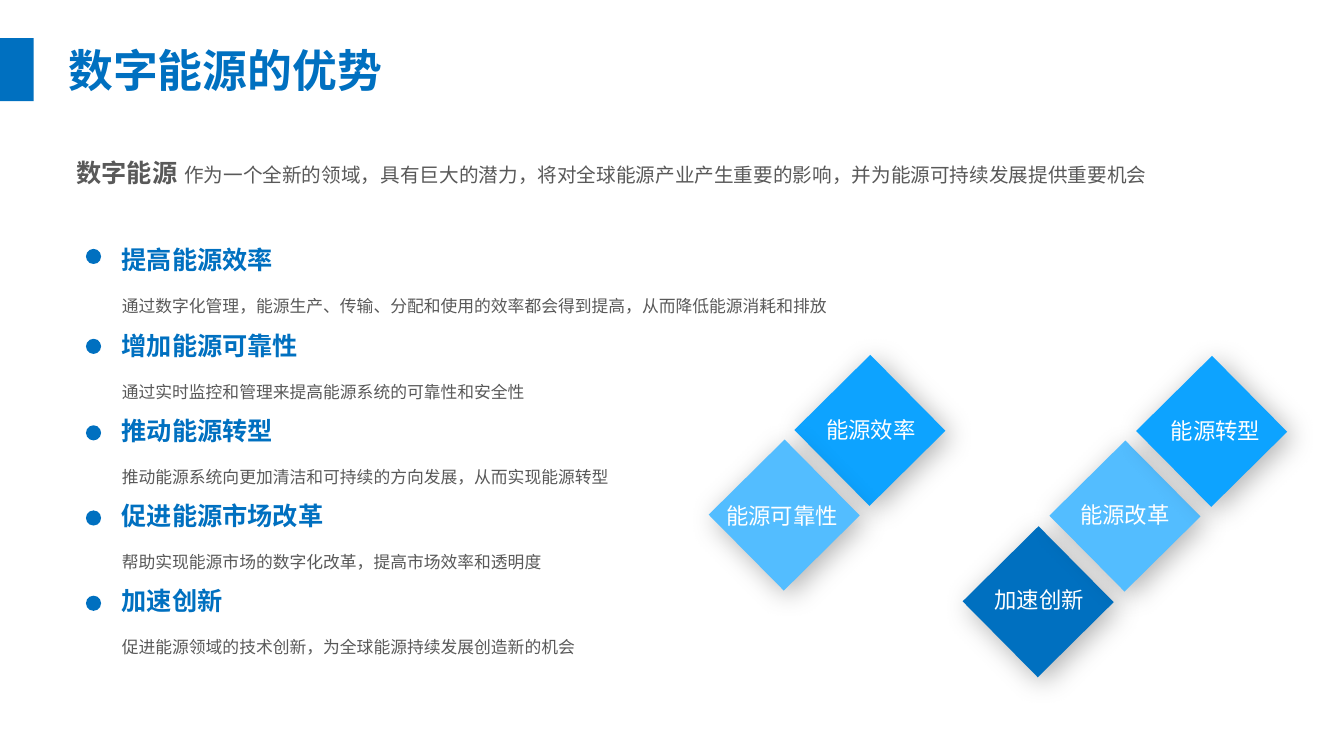
from lxml import etree
from pptx import Presentation
from pptx.dml.color import RGBColor
from pptx.enum import shapes, text
from pptx.oxml import ns
from pptx.util import Pt

BLUE = RGBColor(0x00, 0x70, 0xC0)
BRIGHT = RGBColor(0x0D, 0xA3, 0xFF)
PALE = RGBColor(0x53, 0xBD, 0xFF)
GRAY = RGBColor(0x59, 0x59, 0x59)
WHITE = RGBColor(0xFF, 0xFF, 0xFF)
FONT = "Arial"

DIAMOND_SIDE = 76.3
DIAMOND_ANGLE = 45.3
LABEL_WIDTH = 122.4
ROW_PITCH = 60.85
FIRST_HEADING_TOP = 171.2
FIRST_DETAIL_TOP = 200.7

DIAMONDS = [
    (583.2, 269.3, BRIGHT),
    (703.4, 391.7, BLUE),
    (522, 329.8, PALE),
    (765.4, 330.5, PALE),
    (827.3, 270, BRIGHT),
]
DIAMOND_LABELS = [
    ("能源可靠性", 497.5, 355),
    ("能源效率", 560.9, 293.8),
    ("能源改革", 742.3, 354.2),
    ("加速创新", 681.1, 415.4),
    ("能源转型", 807.1, 294.5),
]
ADVANTAGES = [
    ("提高能源效率", "通过数字化管理，能源生产、传输、分配和使用的效率都会得到提高，从而降低能源消耗和排放", 177.8),
    ("增加能源可靠性", "通过实时监控和管理来提高能源系统的可靠性和安全性", 242),
    ("推动能源转型", "推动能源系统向更加清洁和可持续的方向发展，从而实现能源转型", 303.8),
    ("促进能源市场改革", "帮助实现能源市场的数字化改革，提高市场效率和透明度", 364.6),
    ("加速创新", "促进能源领域的技术创新，为全球能源持续发展创造新的机会", 425.5),
]
INTRO = [
    ("数字能源 ", 18, True),
    ("作为一个全新的领域，具有巨大的潜力，将对全球能源产业产生重要的影响，并为能源可持续发展提供重要机会", 14, False),
]


def style_run(run, size, color, bold=False):
    run.font.name = FONT
    run.font.size = Pt(size)
    run.font.bold = bold
    run.font.color.rgb = color
    east_asian = etree.Element(ns.qn("a:ea"), typeface=FONT)
    run.font._element.find(ns.qn("a:latin")).addnext(east_asian)


def fill_text(box, parts, color, align, spacing=None):
    frame = box.text_frame
    frame.word_wrap = True
    frame.auto_size = text.MSO_AUTO_SIZE.SHAPE_TO_FIT_TEXT
    frame.vertical_anchor = text.MSO_ANCHOR.TOP
    paragraph = frame.paragraphs[0]
    paragraph.alignment = align
    if spacing:
        paragraph.line_spacing = spacing
    for words, size, bold in parts:
        run = paragraph.add_run()
        run.text = words
        style_run(run, size, color, bold)


def add_text(slide, area, parts, color, align=text.PP_ALIGN.LEFT, spacing=None):
    box = slide.shapes.add_textbox(*map(Pt, area))
    fill_text(box, parts, color, align, spacing)


def add_block(slide, kind, area, color):
    block = slide.shapes.add_shape(kind, *map(Pt, area))
    block.shadow.inherit = False
    block.fill.solid()
    block.fill.fore_color.rgb = color
    block.line.fill.background()
    return block


def add_diamond(slide, left, top, color):
    area = (left, top, DIAMOND_SIDE, DIAMOND_SIDE)
    diamond = add_block(slide, shapes.MSO_SHAPE.RECTANGLE, area, color)
    diamond.rotation = DIAMOND_ANGLE
    effects = diamond._element.spPr.find(ns.qn("a:effectLst"))
    shadow = etree.SubElement(
        effects, ns.qn("a:outerShdw"), blurRad=str(Pt(20)), dist=str(Pt(5)),
        dir=str(45 * 60000), algn="tl", rotWithShape="0")
    tint = etree.SubElement(shadow, ns.qn("a:srgbClr"), val="000000")
    etree.SubElement(tint, ns.qn("a:alpha"), val="30000")


def add_advantage(slide, row, heading, detail, dot_top):
    offset = row * ROW_PITCH
    add_block(slide, shapes.MSO_SHAPE.OVAL, (61.4, dot_top, 10.8, 10.8), BLUE)
    add_text(slide, (79.9, FIRST_HEADING_TOP + offset, 177, 29),
             [(heading, 18, True)], BLUE)
    add_text(slide, (79.9, FIRST_DETAIL_TOP + offset, 586, 27),
             [(detail, 12, False)], GRAY, spacing=1.5)


def add_title(slide):
    title = slide.shapes.title
    title.left, title.top, title.width, title.height = map(Pt, (2.9, 26.6, 316, 46))
    fill_text(title, [("数字能源的优势", 32, True)], BLUE, text.PP_ALIGN.CENTER, 1.0)
    title.text_frame.paragraphs[0].space_before = Pt(0)


def main():
    deck = Presentation()
    deck.slide_width, deck.slide_height = Pt(960), Pt(540)
    slide = deck.slides.add_slide(deck.slide_layouts[5])
    add_title(slide)
    add_block(slide, shapes.MSO_SHAPE.RECTANGLE, (0, 27.2, 24, 45), BLUE)
    add_text(slide, (47.5, 97.9, 865.4, 36.7), INTRO, GRAY,
             text.PP_ALIGN.JUSTIFY, 1.5)
    for left, top, color in DIAMONDS:
        add_diamond(slide, left, top, color)
    for label, left, top in DIAMOND_LABELS:
        add_text(slide, (left, top, LABEL_WIDTH, 26.6), [(label, 16, False)],
                 WHITE, text.PP_ALIGN.CENTER)
    for row, advantage in enumerate(ADVANTAGES):
        add_advantage(slide, row, *advantage)
    deck.save("out.pptx")


if __name__ == "__main__":
    main()
